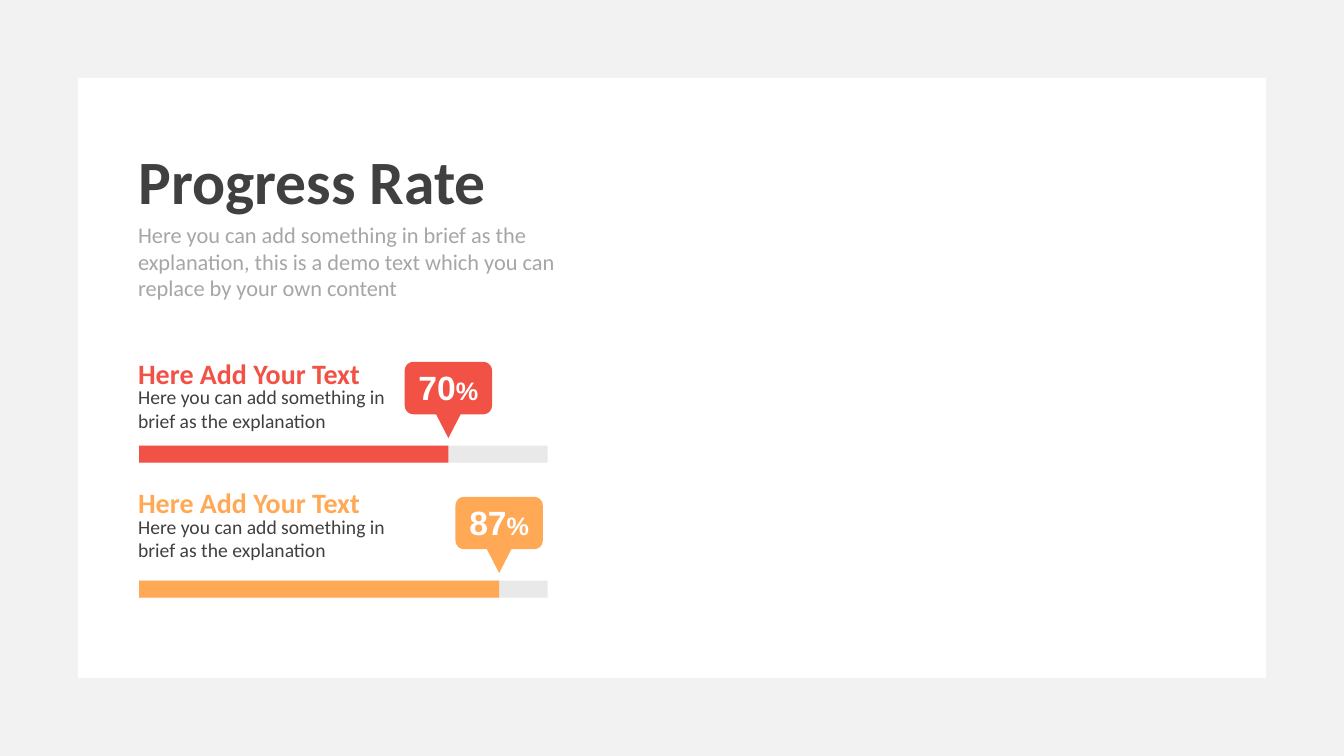
from math import cos, radians, sin

from pptx import Presentation
from pptx.dml.color import RGBColor
from pptx.enum.shapes import MSO_SHAPE
from pptx.enum.text import MSO_ANCHOR, MSO_AUTO_SIZE, PP_ALIGN
from pptx.util import Cm, Pt

FRAME, RECTANGLE = MSO_SHAPE.FRAME, MSO_SHAPE.RECTANGLE
TOP, NO_AUTOFIT = MSO_ANCHOR.TOP, MSO_AUTO_SIZE.NONE
LEFT, CENTER = PP_ALIGN.LEFT, PP_ALIGN.CENTER
TITLE_ONLY = 5

SLIDE_WIDTH, SLIDE_HEIGHT = 33.87, 19.05
DARK, GREY, WHITE = "404040", "A6A6A6", "FFFFFF"
BORDER, TRACK = "F2F2F2", "E9E9E9"
RED, ORANGE = "F25245", "FFA956"

TEXT_LEFT = 3.23
TRACK_LEFT, TRACK_WIDTH, TRACK_HEIGHT = 3.51, 10.29, 0.43
BUBBLE_WIDTH, BUBBLE_HEIGHT, BUBBLE_RISE = 2.2, 1.32, 2.11
TAIL_HEIGHT, TAIL_HALF, CORNER = 0.6, 0.31, 0.22

HEADING = "Here Add Your Text"
DETAIL = "Here you can add something in brief as the explanation"
INTRO = [
    "Here you can add something in brief as the explanation, this is a demo text which you can",
    "replace by your own content",
]
PROGRESS_ITEMS = [
    {"text_top": 8.86, "track_top": 11.23, "fill_width": 7.79, "value": "70", "color": RED},
    {"text_top": 12.12, "track_top": 14.63, "fill_width": 9.07, "value": "87", "color": ORANGE},
]


def color_of(value):
    return RGBColor.from_string(value)


def paint(shape, color):
    shape.fill.solid()
    shape.fill.fore_color.rgb = color_of(color)
    shape.line.fill.background()
    shape.shadow.inherit = False


def write(shape, paragraphs, color, font="Calibri", bold=False, align=LEFT):
    frame = shape.text_frame
    settings = {"word_wrap": True, "auto_size": NO_AUTOFIT, "vertical_anchor": TOP}
    for name, value in settings.items():
        setattr(frame, name, value)
    for index, runs in enumerate(paragraphs):
        paragraph = frame.add_paragraph() if index else frame.paragraphs[0]
        paragraph.alignment = align
        for text, size in runs:
            run = paragraph.add_run()
            run.text = text
            for name, value in {"name": font, "size": Pt(size), "bold": bold}.items():
                setattr(run.font, name, value)
            run.font.color.rgb = color_of(color)


def add_text(slide, box, paragraphs, color, **formats):
    shape = slide.shapes.add_textbox(*map(Cm, box))
    write(shape, paragraphs, color, **formats)


def add_block(slide, preset, box, color):
    shape = slide.shapes.add_shape(preset, *map(Cm, box))
    paint(shape, color)
    return shape


def add_border(slide, box):
    border = add_block(slide, FRAME, box, BORDER)
    border.adjustments[0] = 0.103


def add_header(slide, box):
    left, top, width, height = box
    title = slide.shapes.title
    placement = {"left": left, "top": top, "width": width, "height": 2.13}
    for name, value in placement.items():
        setattr(title, name, Cm(value))
    write(title, [[("Progress Rate", 44)]], DARK, bold=True)
    intro_box = (left, top + 1.96, 11.73, height - 1.96)
    add_text(slide, intro_box, [[(line, 16)] for line in INTRO], GREY)


def corner_points(center_x, center_y, start):
    angles = [radians(start + step) for step in range(0, 91, 10)]
    return [(center_x + CORNER * cos(a), center_y + CORNER * sin(a)) for a in angles]


def add_bubble(slide, box, value, color):
    left, top, width, height = box
    right, bottom, middle = left + width, top + height, left + width / 2
    points = [
        *corner_points(left + CORNER, top + CORNER, 180),
        *corner_points(right - CORNER, top + CORNER, 270),
        *corner_points(right - CORNER, bottom - CORNER, 0),
        (middle + TAIL_HALF, bottom),
        (middle, bottom + TAIL_HEIGHT),
        (middle - TAIL_HALF, bottom),
        *corner_points(left + CORNER, bottom - CORNER, 90),
    ]
    outline = [(Cm(x), Cm(y)) for x, y in points]
    builder = slide.shapes.build_freeform(*outline[0])
    builder.add_line_segments(outline[1:], close=True)
    paint(builder.convert_to_shape(), color)
    label_box = (middle - 1.55, top, 3.1, 1.27)
    add_text(slide, label_box, [[(value, 24), ("%", 18)]], WHITE,
             font="Arial", bold=True, align=CENTER)


def add_progress(slide, box, item):
    left, top, width, height = box
    color, fill_width = item["color"], item["fill_width"]
    add_text(slide, (TEXT_LEFT, item["text_top"], 8.15, 1.12),
             [[(HEADING, 20)]], color, bold=True)
    add_text(slide, (TEXT_LEFT, item["text_top"] + 0.72, 7.32, 1.45),
             [[(DETAIL, 14)]], DARK)
    add_block(slide, RECTANGLE, box, TRACK)
    add_block(slide, RECTANGLE, (left, top, fill_width, height), color)
    bubble_box = (left + fill_width - BUBBLE_WIDTH / 2, top - BUBBLE_RISE,
                  BUBBLE_WIDTH, BUBBLE_HEIGHT)
    add_bubble(slide, bubble_box, item["value"], color)


def main():
    presentation = Presentation()
    presentation.slide_width = Cm(SLIDE_WIDTH)
    presentation.slide_height = Cm(SLIDE_HEIGHT)
    slide = presentation.slides.add_slide(presentation.slide_layouts[TITLE_ONLY])
    add_border(slide, (0, 0, SLIDE_WIDTH, SLIDE_HEIGHT))
    add_header(slide, (TEXT_LEFT, 3.48, 12.19, 4.27))
    for item in PROGRESS_ITEMS:
        add_progress(slide, (TRACK_LEFT, item["track_top"], TRACK_WIDTH, TRACK_HEIGHT), item)
    presentation.save("out.pptx")


if __name__ == "__main__":
    main()
